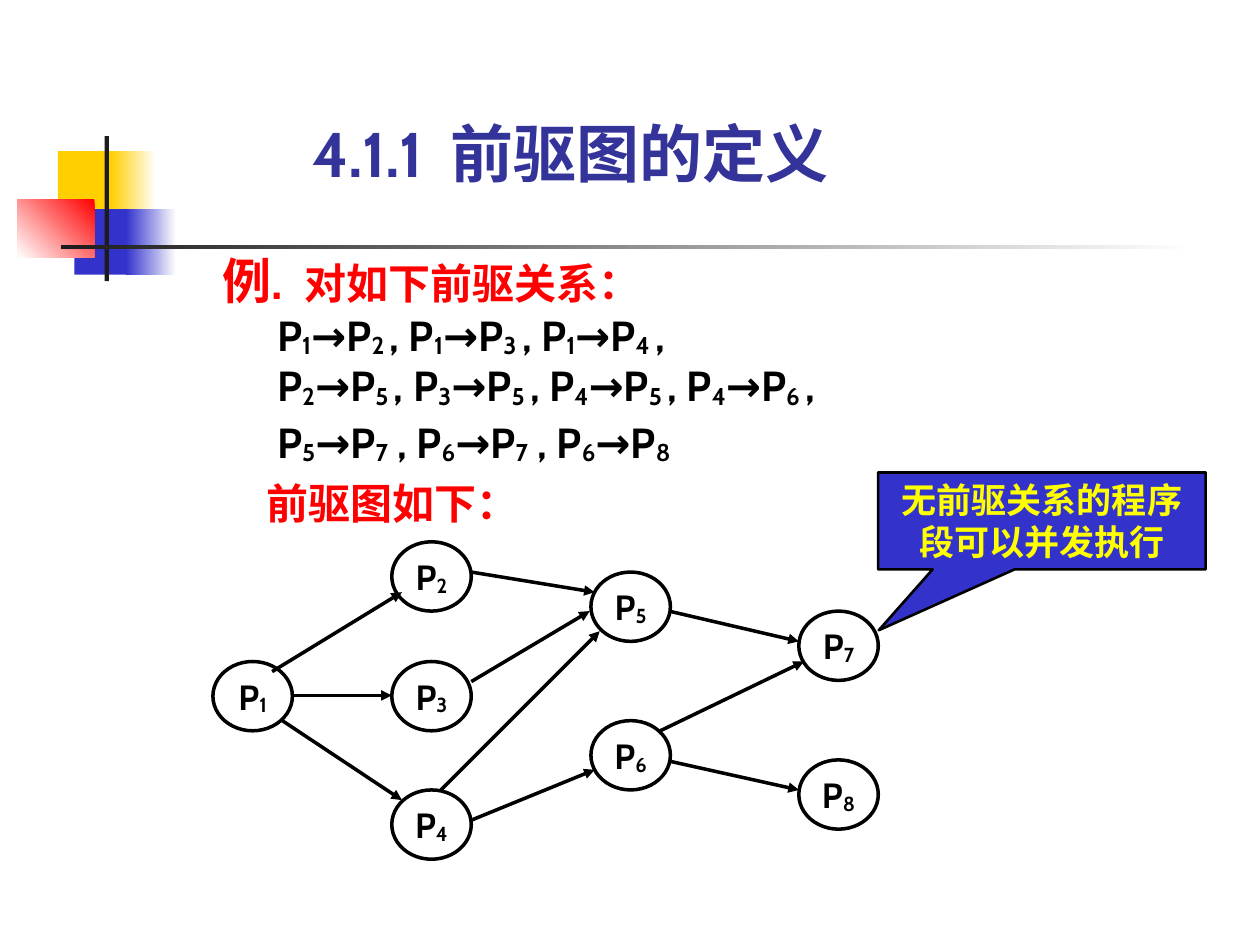
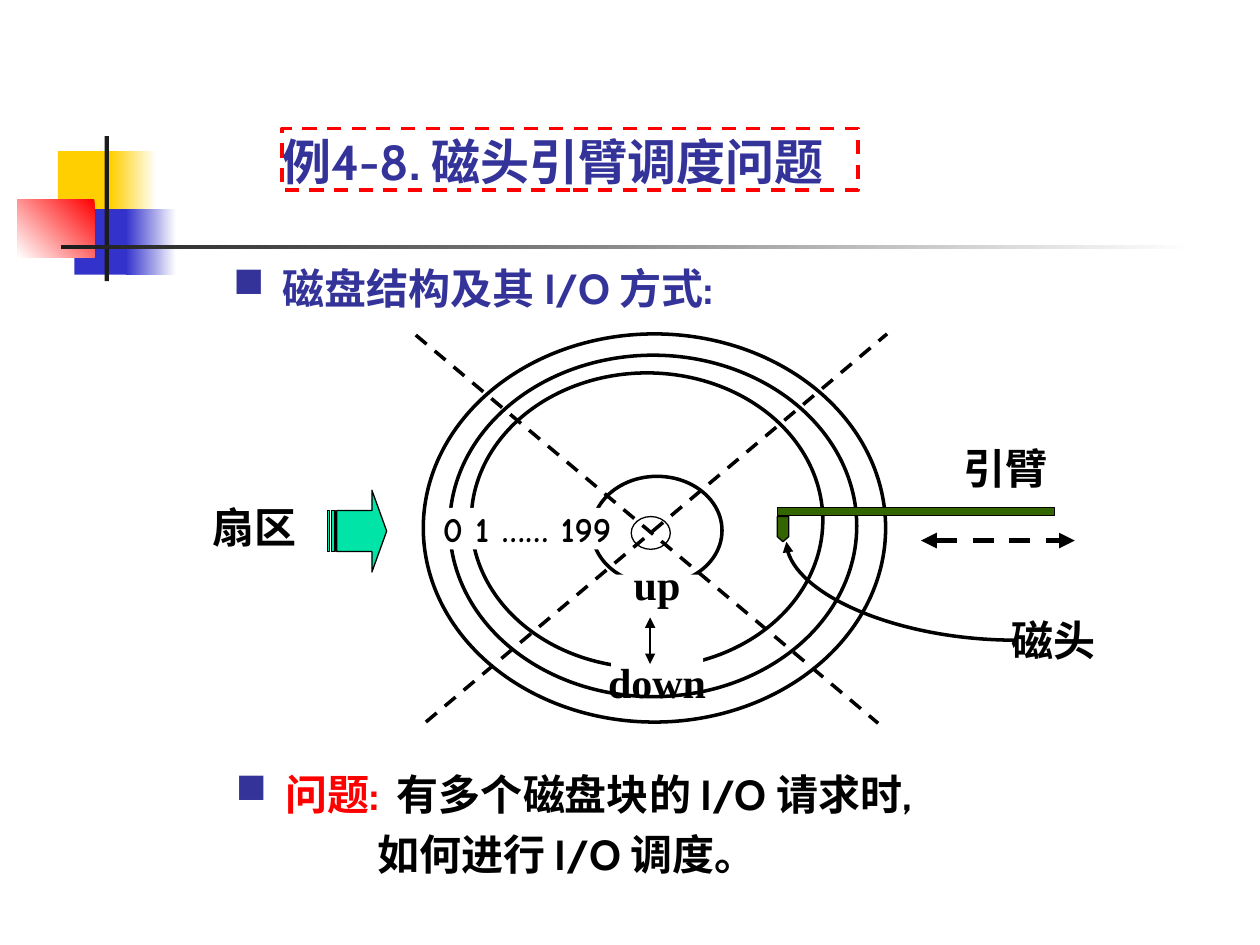
from dataclasses import dataclass

from lxml import etree
from pptx import Presentation
from pptx.dml.color import RGBColor
from pptx.enum.dml import MSO_LINE
from pptx.enum.shapes import MSO_CONNECTOR, MSO_SHAPE
from pptx.enum.text import MSO_ANCHOR, PP_ALIGN
from pptx.oxml.ns import qn
from pptx.util import Pt

RECT, ELLIPSE = MSO_SHAPE.RECTANGLE, MSO_SHAPE.OVAL
CALLOUT, STRIPED_ARROW = MSO_SHAPE.RECTANGULAR_CALLOUT, MSO_SHAPE.STRIPED_RIGHT_ARROW
PENTAGON = MSO_SHAPE.FLOWCHART_OFFPAGE_CONNECTOR
STRAIGHT, CURVE = MSO_CONNECTOR.STRAIGHT, MSO_CONNECTOR.CURVE
LEFT, CENTER = PP_ALIGN.LEFT, PP_ALIGN.CENTER
TOP, MIDDLE, BOTTOM = MSO_ANCHOR.TOP, MSO_ANCHOR.MIDDLE, MSO_ANCHOR.BOTTOM
DASH = MSO_LINE.DASH


@dataclass(frozen=True)
class Theme:
    font: str = "Cabin"
    casual: str = "Comic Neue"
    serif: str = "Times New Roman"
    navy: str = "333399"
    blue: str = "3333CC"
    gold: str = "FFCF01"
    red: str = "FF0000"
    yellow: str = "FFFF00"
    mint: str = "00E4A8"
    olive: str = "336600"
    charcoal: str = "1C1C1C"
    black: str = "000000"
    white: str = "FFFFFF"
    title: int = 36
    lead: int = 28
    body: int = 24
    label: int = 20
    thin: float = 0.75
    stroke: float = 2


@dataclass
class Run:
    text: str
    size: int = None
    color: str = None
    subscript: bool = False
    spacing: float = None


@dataclass
class Para:
    runs: list
    indent: float = 0
    bullet: str = None
    before: float = 0
    line: float = None


def rgb(value):
    return RGBColor.from_string(value)


def indexed(text, **style):
    """Split text at bars; every second piece is a subscript."""
    return [Run(piece, subscript=i % 2 == 1, **style)
            for i, piece in enumerate(text.split("|"))]


def add_bullet(paragraph, char, color, hang):
    props = paragraph._p.get_or_add_pPr()
    props.set("indent", str(-Pt(hang)))
    fill = etree.SubElement(props, qn("a:buClr"))
    etree.SubElement(fill, qn("a:srgbClr")).set("val", color)
    etree.SubElement(props, qn("a:buChar")).set("char", char)


def write(shape, paragraphs, *, size, color, font=Theme.font, align=LEFT,
          anchor=TOP, inset=(0, 0), wrap=True):
    """Fill a shape with paragraphs; a plain string stands for one paragraph."""
    if isinstance(paragraphs, str):
        paragraphs = [Para([Run(paragraphs)])]
    frame = shape.text_frame
    frame.word_wrap = wrap
    frame.vertical_anchor = anchor
    frame.margin_left = frame.margin_right = Pt(inset[0])
    frame.margin_top = frame.margin_bottom = Pt(inset[1])
    for i, para in enumerate(paragraphs):
        paragraph = frame.add_paragraph() if i else frame.paragraphs[0]
        paragraph.alignment = align
        if para.before:
            paragraph.space_before = Pt(para.before)
        if para.line:
            paragraph.line_spacing = para.line
        if para.indent:
            paragraph._p.get_or_add_pPr().set("marL", str(Pt(para.indent)))
        if para.bullet:
            add_bullet(paragraph, para.bullet, Theme.navy, para.indent)
        for piece in para.runs:
            run = paragraph.add_run()
            run.text = piece.text
            run.font.name = font
            run.font.size = Pt(piece.size or size)
            run.font.bold = True
            run.font.color.rgb = rgb(piece.color or color)
            props = run._r.get_or_add_rPr()
            etree.SubElement(props, qn("a:ea")).set("typeface", font)
            if piece.subscript:
                props.set("baseline", "-8000")
            if piece.spacing:
                props.set("spc", str(round(piece.spacing * 100)))


class Deck:
    def __init__(self, theme):
        self.theme = theme
        self.presentation = Presentation()
        self.presentation.slide_width = Pt(720)
        self.presentation.slide_height = Pt(540)
        self.slide = None

    def new_slide(self):
        self.slide = self.presentation.slides.add_slide(self.presentation.slide_layouts[6])
        self.ornament()

    def shape(self, kind, box, fill=None, line=None, width=None, dash=None, adjust=()):
        shape = self.slide.shapes.add_shape(kind, *map(Pt, box))
        shape.shadow.inherit = False
        for i, value in enumerate(adjust):
            shape.adjustments[i] = value
        if fill:
            shape.fill.solid()
            shape.fill.fore_color.rgb = rgb(fill)
        else:
            shape.fill.background()
        if line:
            shape.line.color.rgb = rgb(line)
            shape.line.width = Pt(width or self.theme.stroke)
            if dash:
                shape.line.dash_style = dash
        else:
            shape.line.fill.background()
        return shape

    def fade(self, box, start, end, angle):
        """Rectangle with a two-colour gradient; angle runs counter-clockwise."""
        shape = self.shape(RECT, box)
        shape.fill.gradient()
        shape.fill.gradient_angle = angle
        for stop, color in zip(shape.fill.gradient_stops, (start, end)):
            stop.color.rgb = rgb(color)

    def text(self, box, paragraphs, **style):
        write(self.slide.shapes.add_textbox(*map(Pt, box)), paragraphs, **style)

    def line(self, ends, kind=STRAIGHT, width=None, dash=None, head=False, tail=False):
        connector = self.slide.shapes.add_connector(kind, *map(Pt, ends))
        connector.line.color.rgb = rgb(self.theme.black)
        connector.line.width = Pt(width or self.theme.stroke)
        if dash:
            connector.line.dash_style = dash
        outline = connector.line._get_or_add_ln()
        for end, wanted in (("a:headEnd", head), ("a:tailEnd", tail)):
            if wanted:
                etree.SubElement(outline, qn(end)).set("type", "triangle")
        etree.SubElement(connector._element.spPr, qn("a:effectLst"))
        return connector

    def quarter_curve(self, ends, turn, **style):
        """Curve with a single bend, turned clockwise by whole degrees."""
        props = self.line(ends, kind=CURVE, **style)._element.spPr
        props.find(qn("a:xfrm")).set("rot", str(turn * 60000))
        props.find(qn("a:prstGeom")).set("prst", "curvedConnector2")

    def ornament(self):
        t = self.theme
        self.shape(RECT, (33.1, 86.4, 34.6, 37.4), t.gold)
        self.fade((63.4, 86.4, 25.9, 37.4), t.white, t.gold, 180)
        self.shape(RECT, (42.5, 119.5, 33.1, 37.4), t.blue)
        self.fade((72, 119.5, 28.8, 37.4), t.white, t.blue, 180)
        self.fade((10.1, 113.8, 43.9, 33.1), t.red, t.white, 225)
        self.shape(RECT, (59.8, 77.8, 2.5, 82.8), t.charcoal)
        self.fade((34.6, 140, 648, 2.6), t.white, t.charcoal, 180)


def precedence_slide(deck):
    t = deck.theme
    deck.new_slide()
    deck.text((178.5, 65.5, 343.5, 43.2),
              [Para([Run("4.1.1"), Run(" ", spacing=8), Run("前驱图的定义")])],
              size=t.title, color=t.navy)
    deck.text((127.4, 143.3, 453.6, 160), [
        Para([Run("例.", t.lead, t.red), Run(" ", t.lead, spacing=6),
              Run("对如下前驱关系：", color=t.red)]),
        Para(indexed("P|1|→P|2 |, P|1|→P|3 |, P|1|→P|4 |,"), indent=31),
        Para(indexed("P|2|→P|5 |, P|3|→P|5 |, P|4|→P|5 |, P|4|→P|6 |,"), indent=31),
        Para(indexed("P|5|→P|7| , P|6|→P|7| , P|6|→P|8"), indent=31, before=3.4),
        Para([Run("前驱图如下：", color=t.red)], indent=25, before=6),
    ], size=t.body, color=t.black)

    columns = (121.7, 223.9, 337.7, 456.5)
    nodes = {1: (0, 378), 4: (1, 451.4), 3: (1, 378), 2: (1, 309.6),
             5: (2, 326.9), 6: (2, 411.8), 7: (3, 349.2), 8: (3, 434.2)}
    for number, (column, top) in nodes.items():
        node = deck.shape(ELLIPSE, (columns[column], top, 45.4, 39.6), line=t.black)
        write(node, [Para(indexed(f"P|{number}"))], size=t.label, color=t.black,
              align=CENTER, anchor=MIDDLE, inset=(7.2, 3.6), wrap=False)

    precedences = (
        (155.5, 383.8, 229.7, 338.4), (167, 397.4, 223.9, 397.4),
        (161.3, 411.8, 229.7, 457.2), (269.3, 326.9, 339.8, 338.4),
        (269.3, 389.5, 337, 349.2), (252, 451.4, 342.7, 360.7),
        (269.3, 468.7, 339.8, 439.9), (382.3, 349.2, 456.5, 366.5),
        (377.3, 417.6, 459.4, 378), (382.3, 434.9, 456.5, 451.4))
    for ends in precedences:
        deck.line(ends, tail=True)

    remark = deck.shape(CALLOUT, (501.8, 270, 187.2, 55.4), t.blue, t.black, 1.5,
                        adjust=(-0.498, 1.128))
    write(remark, "无前驱关系的程序段可以并发执行", size=t.label, color=t.yellow,
          align=CENTER, inset=(7.2, 3.6))


def disk_slide(deck):
    t = deck.theme
    deck.new_slide()
    title = deck.shape(RECT, (161.3, 73.4, 329, 35.3), line=t.red, dash=DASH)
    write(title, "例4-8. 磁头引臂调度问题", size=t.lead, color=t.navy, anchor=BOTTOM)

    tracks = ((241.9, 190.8, 264.2, 221.8), (257, 203, 232.6, 195.1),
              (269.3, 213.1, 200.9, 168.5), (338.4, 272.2, 74.2, 61.9))
    for track in tracks:
        deck.shape(ELLIPSE, track, t.white, t.black)
    centred = dict(color=t.black, align=CENTER, anchor=MIDDLE, inset=(7.2, 3.6), wrap=False)
    track_numbers = deck.shape(RECT, (248.4, 290.2, 105.8, 23.8), t.white)
    write(track_numbers, "0 1 …… 199", size=t.label, font=t.casual, **centred)
    deck.shape(ELLIPSE, (360.7, 295.2, 22.3, 18.7), t.white, t.black, t.thin)
    deck.shape(PENTAGON, (444.2, 295.2, 6.5, 14.4), t.olive, t.black, t.thin)
    deck.shape(RECT, (444.2, 290.2, 158.4, 4.3), t.olive, t.black, t.thin)

    directions = deck.shape(RECT, (349.2, 328.3, 52.6, 66.2), t.white)
    write(directions, [Para([Run("up")]), Para([Run("down")], before=27.5)],
          size=t.body, font=t.serif, **centred)
    deck.line((371.5, 352.8, 371.5, 379.4), width=t.thin, head=True, tail=True)

    deck.quarter_curve((542.9, 272.2, 486.7, 403.2), 270, head=True)
    for ends in ((237.6, 191.5, 501.8, 413.3), (243.4, 412.6, 506.9, 190.8)):
        deck.line(ends, dash=DASH)
    deck.line((526.3, 308.9, 614.2, 308.9), width=3, dash=DASH, head=True, tail=True)
    for part, left, top in (("磁头", 578.2, 351.4), ("引臂", 550.8, 252.7),
                            ("扇区", 121.7, 286.6)):
        deck.text((left, top, 50, 28.8), part, size=t.body, color=t.black,
                  font=t.casual, wrap=False)
    deck.shape(STRIPED_ARROW, (187.2, 280.1, 33.8, 46.8), t.mint, t.black, t.thin,
               adjust=(0.5, 0.25))

    lead_in = Run(" ", spacing=5)
    deck.text((133.2, 149.8, 291.6, 28.8),
              [Para([lead_in, Run("磁盘结构及其 I/O 方式:")], indent=16, bullet="■")],
              size=t.body, color=t.navy)
    deck.text((134.6, 433.4, 400, 69), [
        Para([lead_in, Run("问题:", color=t.red), lead_in,
              Run("有多个磁盘块的 I/O 请求时,")], indent=16, bullet="■", line=1.2),
        Para([Run("如何进行 I/O 调度。")], indent=81, line=1.2),
    ], size=t.body, color=t.black)


def main():
    deck = Deck(Theme())
    precedence_slide(deck)
    disk_slide(deck)
    deck.presentation.save("out.pptx")


if __name__ == "__main__":
    main()
